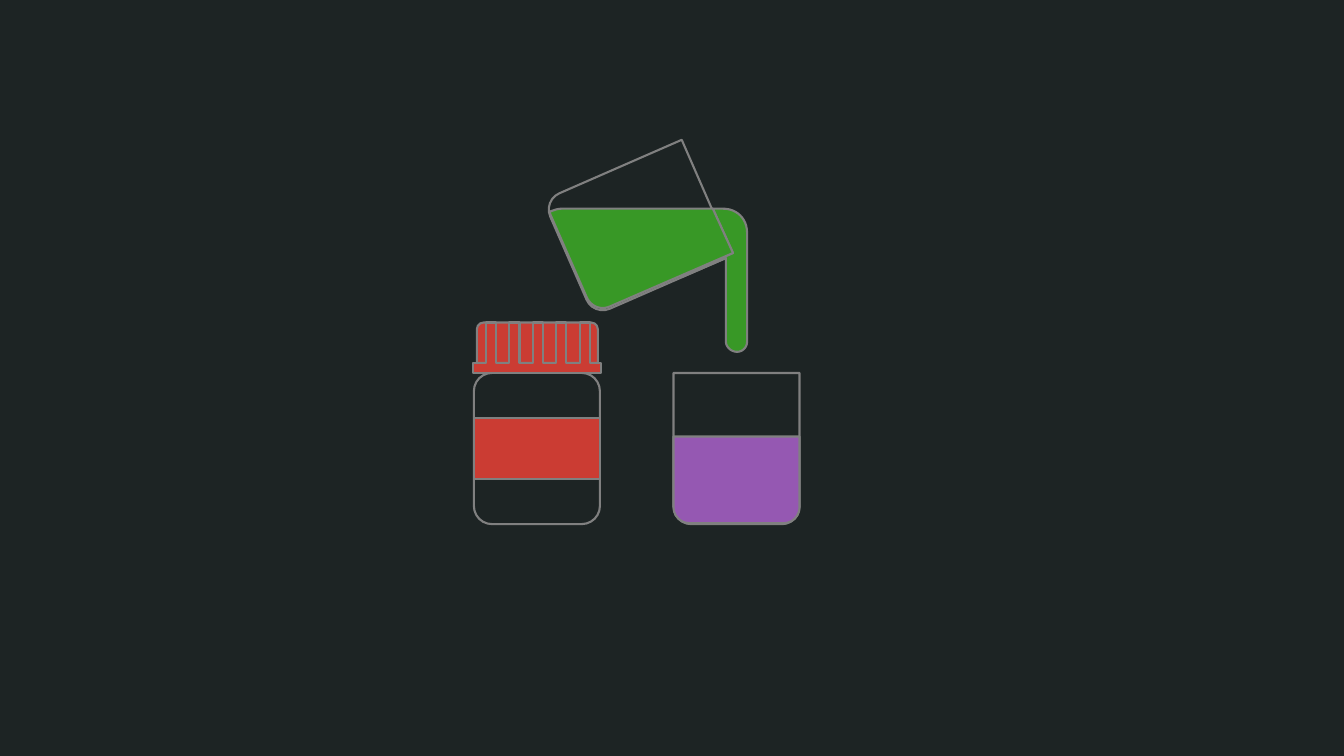
from pptx import Presentation
from pptx.dml.color import RGBColor
from pptx.enum.shapes import MSO_SHAPE as Preset
from pptx.util import Inches, Pt

BACKGROUND, OUTLINE = "1D2424", "808080"
RED, PURPLE, GREEN = "CB3C33", "9558B2", "389826"

JAR = (4.7, 3.7, 1.25, 1.5)
CAP = (4.73, 3.2, 1.2, 0.4)
LABEL = (4.7, 4.15, 1.25, 0.6)
BEAKER = (6.68, 3.7, 1.25, 1.5)
BEAKER_LIQUID = (6.68, 4.33, 1.25, 0.86)
TILTED_BEAKER = (5.7, 1.51, 1.25, 1.5)
RIM = {"left": 4.69, "right": 5.96, "top": 3.6, "bottom": 3.7}
RIBS = {"count": 5, "first": 4.82, "pitch": 0.2325, "width": 0.1, "top": 3.2}

STREAM = [
    (7.05, 2.07), (7.17, 2.07),
    ((7.31, 2.07), (7.41, 2.17), (7.41, 2.31)),
    (7.41, 3.39),
    ((7.41, 3.44), (7.37, 3.49), (7.31, 3.49)),
    ((7.25, 3.49), (7.2, 3.44), (7.2, 3.39)),
    (7.2, 2.56), (6.76, 2.75), (6.76, 2.73), (7.2, 2.54),
    (7.27, 2.51), (7.07, 2.07),
]
POURED_LIQUID = [
    (5.61, 2.07), (7.07, 2.07), (7.27, 2.51), (6.05, 3.04),
    ((5.96, 3.08), (5.86, 3.04), (5.82, 2.95)),
    (5.46, 2.13), (5.45, 2.1), (5.51, 2.08),
    ((5.54, 2.07), (5.57, 2.07), (5.61, 2.07)),
]
CURVE_STEPS = 12


def color(value):
    return RGBColor.from_string(value)


def style(shape, fill=None):
    shape.shadow.inherit = False
    if fill:
        shape.fill.solid()
        shape.fill.fore_color.rgb = color(fill)
    else:
        shape.fill.background()
    shape.line.color.rgb = color(OUTLINE)
    shape.line.width = Pt(1.5)


def add_preset(shapes, preset, box, fill=None, corners=(), rotation=0):
    shape = shapes.add_shape(preset, *map(Inches, box))
    for index, corner in enumerate(corners):
        shape.adjustments[index] = corner
    shape.rotation = rotation
    style(shape, fill)


def curve_points(start, first, second, end):
    for step in range(1, CURVE_STEPS + 1):
        t = step / CURVE_STEPS
        weights = ((1 - t) ** 3, 3 * t * (1 - t) ** 2, 3 * t * t * (1 - t), t ** 3)
        controls = (start, first, second, end)
        yield tuple(sum(w * c[axis] for w, c in zip(weights, controls)) for axis in (0, 1))


def add_outline(shapes, segments, fill):
    points = []
    for segment in segments:
        if len(segment) == 3:
            points.extend(curve_points(points[-1], *segment))
        else:
            points.append(segment)
    corners = [(Inches(x), Inches(y)) for x, y in points]
    builder = shapes.build_freeform(*corners[0])
    builder.add_line_segments(corners[1:], close=True)
    style(builder.convert_to_shape(), fill)


def ribbed_rim():
    points = [(RIM["right"], RIM["top"]), (RIM["right"], RIM["bottom"]),
              (RIM["left"], RIM["bottom"]), (RIM["left"], RIM["top"])]
    for index in range(RIBS["count"]):
        left = RIBS["first"] + index * RIBS["pitch"]
        right = left + RIBS["width"]
        points += [(left, RIM["top"]), (left, RIBS["top"]),
                   (right, RIBS["top"]), (right, RIM["top"])]
    return points


def main():
    presentation = Presentation()
    presentation.slide_width = Inches(13.33)
    presentation.slide_height = Inches(7.5)
    slide = presentation.slides.add_slide(presentation.slide_layouts[6])
    slide.background.fill.solid()
    slide.background.fill.fore_color.rgb = color(BACKGROUND)

    jar = slide.shapes.add_group_shape().shapes
    add_preset(jar, Preset.ROUNDED_RECTANGLE, JAR, corners=(0.144,))
    add_preset(jar, Preset.ROUND_2_SAME_RECTANGLE, CAP, RED)
    add_outline(jar, ribbed_rim(), RED)
    add_preset(jar, Preset.RECTANGLE, LABEL, RED)

    for box, fill, corner, rotation in (
        (BEAKER, None, 0.141, 180),
        (BEAKER_LIQUID, PURPLE, 0.183, 180),
        (TILTED_BEAKER, None, 0.141, 246.4),
    ):
        add_preset(slide.shapes, Preset.ROUND_2_SAME_RECTANGLE, box, fill, (corner, 0), rotation)

    for segments in (STREAM, POURED_LIQUID):
        add_outline(slide.shapes, segments, GREEN)

    presentation.save("out.pptx")


if __name__ == "__main__":
    main()
